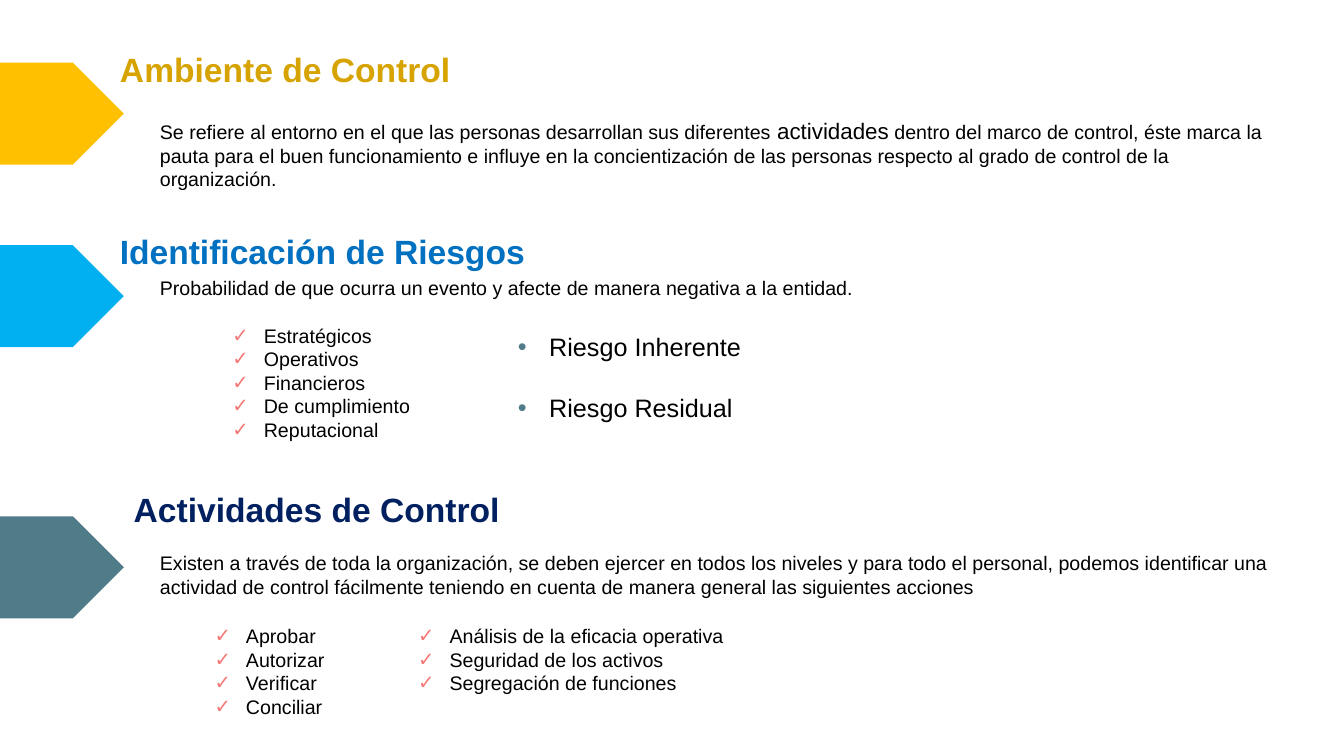
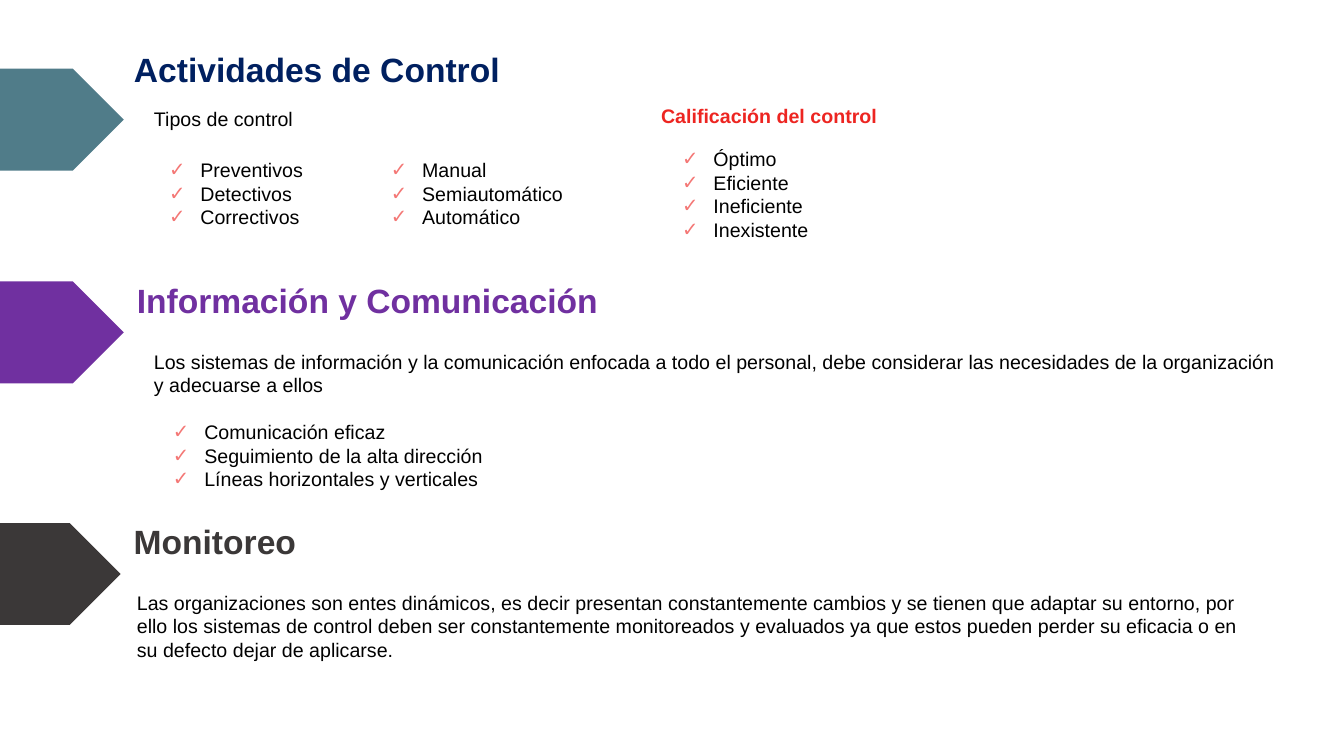
from dataclasses import dataclass

from lxml.etree import SubElement
from pptx import Presentation
from pptx.dml.color import RGBColor
from pptx.enum.shapes import MSO_SHAPE
from pptx.enum.text import MSO_ANCHOR, MSO_AUTO_SIZE, PP_ALIGN
from pptx.oxml.ns import qn
from pptx.slide import Slide
from pptx.text.text import TextFrame
from pptx.util import Cm, Pt

FONT = "Arial"
COLORS = {
    "amber": "FFC000", "gold": "D6A300", "sky": "00B0F0", "blue": "0070C0",
    "teal": "507C89", "navy": "002060", "purple": "7030A0", "gray": "3B3838",
    "coral": "F47775", "red": "ED2521", "black": "000000",
}
INDENT = Cm(0.79)


# Lengths in these records are centimetres
@dataclass
class Arrow:
    top: float
    color: str
    width: float = 3.12


@dataclass
class Heading:
    text: str
    left: float
    top: float
    color: str


@dataclass
class Body:
    runs: list[tuple[str, int]]
    left: float
    top: float
    height: float
    width: float = 28.88
    color: str = "black"
    bold: bool = False


@dataclass
class Bullets:
    items: list[str]
    left: float
    top: float
    width: float
    mark: str = "✓"
    color: str = "coral"
    size: int = 14
    gap: int = 0


@dataclass
class Page:
    arrows: list[Arrow]
    heads: list[Heading]
    bodies: list[Body]
    lists: list[Bullets]


PAGES = [
    Page(
        [Arrow(1.58, "amber"), Arrow(6.18, "sky"), Arrow(13.01, "teal")],
        [Heading("Ambiente de Control", 2.77, 1.1, "gold"),
         Heading("Identificación de Riesgos", 2.77, 5.68, "blue"),
         Heading("Actividades de Control", 3.12, 12.2, "navy")],
        [Body([("Se refiere al entorno en el que las personas desarrollan sus "
                "diferentes ", 14), ("actividades", 16),
               (" dentro del marco de control, éste marca la pauta para el buen "
                "funcionamiento e influye en la concientización de las personas "
                "respecto al grado de control de la organización.", 14)],
              3.78, 2.82, 2.1),
         Body([("Probabilidad de que ocurra un evento y afecte de manera "
                "negativa a la entidad.", 14)], 3.78, 6.83, 0.86),
         Body([("Existen a través de toda la organización, se deben ejercer en "
                "todos los niveles y para todo el personal, podemos identificar "
                "una actividad de control fácilmente teniendo en cuenta de "
                "manera general las siguientes acciones", 14)],
              3.78, 13.77, 1.45)],
        [Bullets(["Estratégicos", "Operativos", "Financieros",
                  "De cumplimiento", "Reputacional"], 5.61, 8.03, 6.76),
         Bullets(["Riesgo Inherente", "Riesgo Residual"], 12.8, 8.23, 6.76,
                 "•", "teal", 18, 22),
         Bullets(["Aprobar", "Autorizar", "Verificar", "Conciliar"],
                 5.16, 15.6, 6.27),
         Bullets(["Análisis de la eficacia operativa", "Seguridad de los activos",
                  "Segregación de funciones"], 10.29, 15.6, 16.94)],
    ),
    Page(
        [Arrow(1.73, "teal"), Arrow(7.09, "purple"), Arrow(13.18, "gray", 3.04)],
        [Heading("Actividades de Control", 3.12, 1.1, "navy"),
         Heading("Información y Comunicación", 3.2, 6.93, "purple"),
         Heading("Monitoreo", 3.12, 13.01, "gray")],
        [Body([("Tipos de control", 14)], 3.63, 2.57, 0.86, 10),
         Body([("Calificación del control", 14)], 16.41, 2.49, 0.86, 16,
              "red", True),
         Body([("Los sistemas de información y la comunicación enfocada a todo "
                "el personal, debe considerar las necesidades de la organización "
                "y adecuarse a ellos", 14)], 3.63, 8.69, 1.45),
         Body([("Las organizaciones son entes dinámicos, es decir presentan "
                "constantemente cambios y se tienen que adaptar su entorno, por "
                "ello los sistemas de control deben ser constantemente "
                "monitoreados y evaluados ya que estos pueden perder su eficacia "
                "o en su defecto dejar de aplicarse.", 14)], 3.2, 14.76, 2.06)],
        [Bullets(["Preventivos", "Detectivos", "Correctivos"], 4.01, 3.86, 6.27),
         Bullets(["Manual", "Semiautomático", "Automático"], 9.6, 3.86, 6.81),
         Bullets(["Óptimo", "Eficiente", "Ineficiente", "Inexistente"],
                 16.94, 3.58, 16.9),
         Bullets(["Comunicación eficaz", "Seguimiento de la alta dirección",
                  "Líneas horizontales y verticales"], 4.11, 10.46, 14.58)],
    ),
]


def shade(name: str) -> RGBColor:
    return RGBColor.from_string(COLORS[name])


def style(font, size: int, color: str, bold: bool = False) -> None:
    font.name, font.size, font.bold = FONT, Pt(size), bold
    font.color.rgb = shade(color)


def add_box(slide: Slide, left: float, top: float, width: float,
            height: float) -> TextFrame:
    box = slide.shapes.add_textbox(Cm(left), Cm(top), Cm(width), Cm(height))
    box.text_frame.word_wrap = True
    return box.text_frame


def draw_arrow(slide: Slide, arrow: Arrow) -> None:
    shape = slide.shapes.add_shape(MSO_SHAPE.PENTAGON, 0, Cm(arrow.top),
                                   Cm(arrow.width), Cm(2.57))
    shape.shadow.inherit = False
    shape.fill.solid()
    shape.fill.fore_color.rgb = shade(arrow.color)
    shape.line.fill.background()


def draw_head(slide: Slide, head: Heading, first: bool) -> None:
    place = (head.left, head.top, 15, 1.27)
    if first:
        title = slide.shapes.title
        title.left, title.top, title.width, title.height = map(Cm, place)
        frame = title.text_frame
    else:
        frame = add_box(slide, *place)
    frame.auto_size = MSO_AUTO_SIZE.NONE
    frame.vertical_anchor = MSO_ANCHOR.MIDDLE
    para = frame.paragraphs[0]
    para.text = head.text
    para.alignment = PP_ALIGN.JUSTIFY
    style(para.font, 24, head.color, True)


def draw_body(slide: Slide, body: Body) -> None:
    frame = add_box(slide, body.left, body.top, body.width, body.height)
    para = frame.paragraphs[0]
    style(para.font, 14, body.color, body.bold)
    for text, size in body.runs:
        run = para.add_run()
        run.text = text
        run.font.size = Pt(size)


def add_mark(para, mark: str, color: str) -> None:
    props = para._p.get_or_add_pPr()
    props.set("marL", str(INDENT))
    props.set("indent", str(-INDENT))
    tint = SubElement(props, qn("a:buClr"))
    SubElement(tint, qn("a:srgbClr"), val=COLORS[color])
    SubElement(props, qn("a:buFont"), typeface=FONT)
    SubElement(props, qn("a:buChar"), char=mark)


def draw_list(slide: Slide, block: Bullets) -> None:
    count = len(block.items)
    tall = 0.25 + (count * block.size * 1.2 + (count - 1) * block.gap) * 0.0353
    frame = add_box(slide, block.left, block.top, block.width, round(tall, 2))
    for index, item in enumerate(block.items):
        para = frame.add_paragraph() if index else frame.paragraphs[0]
        para.text = item
        if index and block.gap:
            para.space_before = Pt(block.gap)
        add_mark(para, block.mark, block.color)
        style(para.font, block.size, "black")


def main() -> None:
    deck = Presentation()
    deck.slide_width, deck.slide_height = Cm(33.87), Cm(19.05)
    for page in PAGES:
        slide = deck.slides.add_slide(deck.slide_layouts[5])
        for arrow in page.arrows:
            draw_arrow(slide, arrow)
        for index, head in enumerate(page.heads):
            draw_head(slide, head, index == 0)
        for body in page.bodies:
            draw_body(slide, body)
        for block in page.lists:
            draw_list(slide, block)
    deck.save("out.pptx")


if __name__ == "__main__":
    main()
